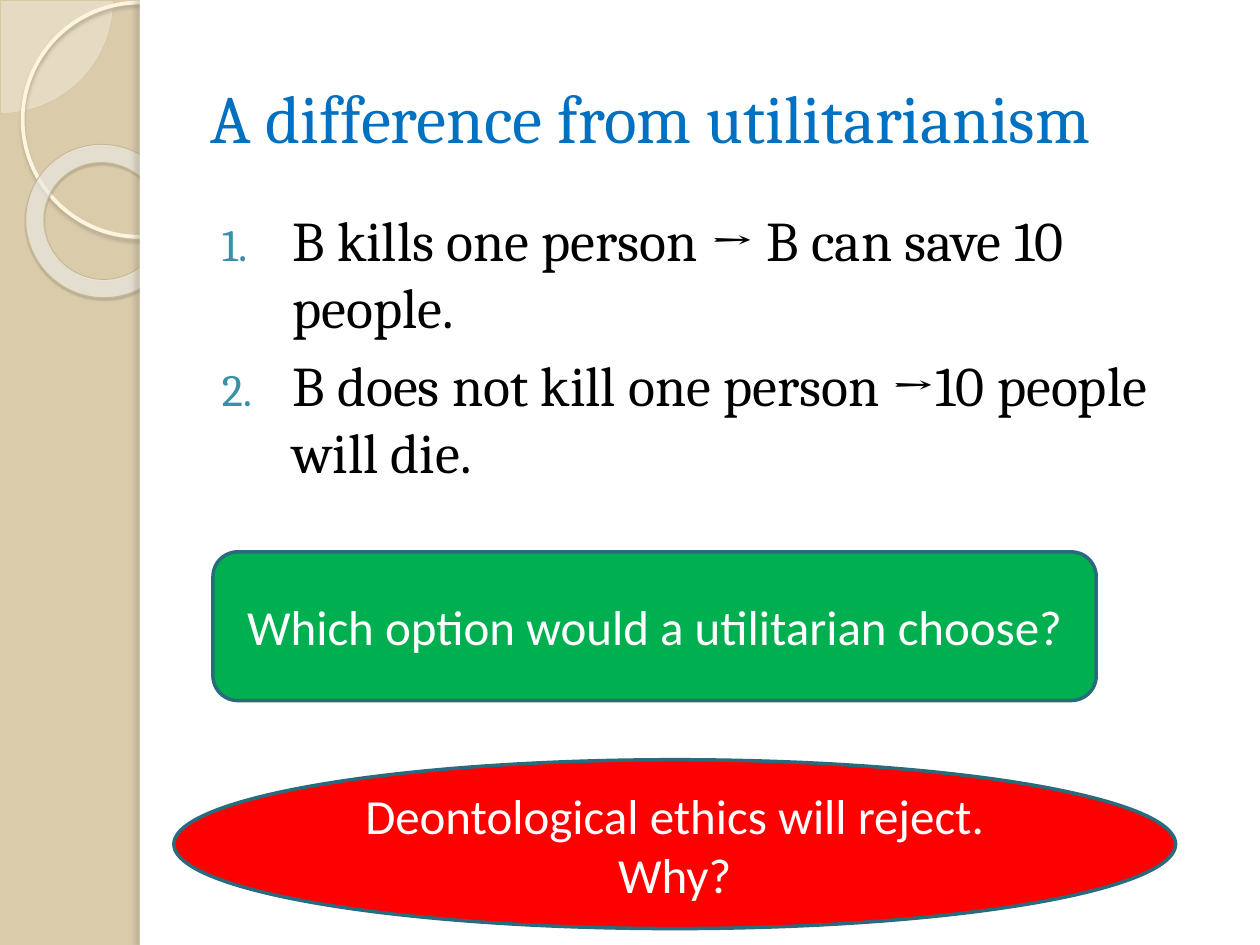
from lxml import etree
from pptx import Presentation
from pptx.dml.color import RGBColor
from pptx.enum.shapes import MSO_SHAPE
from pptx.enum.text import MSO_ANCHOR, MSO_AUTO_SIZE, PP_ALIGN
from pptx.oxml.ns import qn
from pptx.util import Inches, Pt

PIE, OVAL, DONUT = MSO_SHAPE.PIE, MSO_SHAPE.OVAL, MSO_SHAPE.DONUT
RECT, ROUND = MSO_SHAPE.RECTANGLE, MSO_SHAPE.ROUNDED_RECTANGLE
LEFT, CENTER = PP_ALIGN.LEFT, PP_ALIGN.CENTER
MIDDLE, TOP = MSO_ANCHOR.MIDDLE, MSO_ANCHOR.TOP
NO_FIT = MSO_AUTO_SIZE.NONE

SAND = RGBColor(0xDA, 0xCC, 0xAB)
CREAM = RGBColor(0xFE, 0xFA, 0xF4)
PIE_EDGE = RGBColor(0xD3, 0xC3, 0x9F)
RING_EDGE = RGBColor(0xFF, 0xF5, 0xDE)
DONUT_FILL = RGBColor(0xFF, 0xFE, 0xFB)
DONUT_EDGE = RGBColor(0xC7, 0xB8, 0x93)
RING_SHADOW = RGBColor(0xB0, 0xA6, 0x8F)
DONUT_SHADOW = RGBColor(0x5A, 0x54, 0x44)
PANEL_SHADOW = RGBColor(0x73, 0x6F, 0x63)
WHITE = RGBColor(0xFF, 0xFF, 0xFF)
BLACK = RGBColor(0, 0, 0)
BLUE = RGBColor(0x00, 0x70, 0xC0)
TEAL = RGBColor(0x38, 0x91, 0xA7)
DARK_TEAL = RGBColor(0x29, 0x6B, 0x7C)
GREEN = RGBColor(0x00, 0xB0, 0x50)
RED = RGBColor(0xFF, 0, 0)

W, H = 10, 7.5
PANEL_X = 1.11
TITLE = "A difference from utilitarianism"
OPTIONS = [
    "B kills one person → B can save 10 people.",
    "B does not kill one person →10 people will die.",
]
DECOR = [
    (PIE, (-0.89, -0.89, 1.79, 1.79), dict(
        fill=CREAM, alpha=33, line=(PIE_EDGE, 0.25), adj=(0, 54))),
    (OVAL, (0.18, 0.02, 1.86, 1.86), dict(
        line=(RING_EDGE, 2.15), shadow=(RING_SHADOW, 85, 2, 2, 90))),
    (DONUT, (0.2, 1.15, 1.23, 1.21), dict(
        fill=DONUT_FILL, alpha=58, line=(DONUT_EDGE, 0.58), adj=(0.12,),
        rotation=38.6, shadow=(DONUT_SHADOW, 35, 1, 1.2, 75))),
    (RECT, (PANEL_X, 0, W - PANEL_X, H), dict(fill=WHITE)),
    (RECT, (PANEL_X, 0, 0.08, H), dict(
        fill=WHITE, shadow=(PANEL_SHADOW, 25, 3, 3, 180))),
]
CALLOUTS = [
    (ROUND, (1.69, 4.38, 7.01, 1.18), GREEN, "Which option would a utilitarian choose?"),
    (OVAL, (1.38, 6.03, 7.95, 1.34), RED, "Deontological ethics will reject. Why?"),
]


def sub(parent, tag, **attrs):
    """Append a DrawingML child element."""
    el = etree.SubElement(parent, qn("a:" + tag))
    for name, value in attrs.items():
        el.set(name, str(value))
    return el


def add_shape(slide, kind, box, fill=None, alpha=None, line=None, adj=(), rotation=0, shadow=None):
    """Add a preset shape with its fill, outline and shadow."""
    sp = slide.shapes.add_shape(kind, *map(Inches, box))
    sp.rotation = rotation
    for i, value in enumerate(adj):
        sp.adjustments[i] = value
    if fill is None:
        sp.fill.background()
    else:
        sp.fill.solid()
        sp.fill.fore_color.rgb = fill
    if alpha:
        color = sp.element.spPr.find(qn("a:solidFill"))[0]
        sub(color, "alpha", val=alpha * 1000)
    if line:
        sp.line.color.rgb, sp.line.width = line[0], Pt(line[1])
    else:
        sp.line.fill.background()
    sp.shadow.inherit = False
    if shadow:
        color, opacity, blur, dist, angle = shadow
        effects = sp.element.spPr.find(qn("a:effectLst"))
        outer = sub(effects, "outerShdw", blurRad=Pt(blur), dist=Pt(dist),
                    dir=angle * 60000, algn="tl", rotWithShape=0)
        sub(sub(outer, "srgbClr", val=color), "alpha", val=opacity * 1000)
    return sp


def set_text(sp, lines, font, size, color, align=LEFT, anchor=MIDDLE, before=0):
    """Write one formatted paragraph per line."""
    tf = sp.text_frame
    tf.word_wrap, tf.auto_size, tf.vertical_anchor = True, NO_FIT, anchor
    for i, line in enumerate(lines):
        p = tf.add_paragraph() if i else tf.paragraphs[0]
        p.alignment, p.space_before = align, Pt(before)
        r = p.add_run()
        r.text = line
        r.font.name, r.font.size, r.font.color.rgb = font, Pt(size), color
    return tf


def number(p, font):
    """Give a paragraph a coloured automatic number."""
    pPr = p._p.get_or_add_pPr()
    pPr.set("marL", str(Inches(0.65)))
    pPr.set("indent", str(Inches(-0.56)))
    sub(sub(pPr, "buClr"), "srgbClr", val=TEAL)
    sub(pPr, "buSzPct", val=80000)
    sub(pPr, "buFont", typeface=font)
    sub(pPr, "buAutoNum", type="arabicPeriod")


def place(sp, box):
    """Move a placeholder to a box and in front of earlier shapes."""
    sp.left, sp.top, sp.width, sp.height = map(Inches, box)
    sp.element.getparent().append(sp.element)


def main():
    """Build the slide."""
    prs = Presentation()
    prs.slide_width, prs.slide_height = Inches(W), Inches(H)
    s = prs.slides.add_slide(prs.slide_layouts[1])
    s.background.fill.solid()
    s.background.fill.fore_color.rgb = SAND
    for kind, box, style in DECOR:
        add_shape(s, kind, box, **style)

    title, body = s.shapes.title, s.placeholders[1]
    place(title, (1.57, 0.3, 8.2, 1.25))
    set_text(title, [TITLE], "Cambria", 38.7, BLUE)
    place(body, (1.57, 1.58, 8.2, 5.25))
    tf = set_text(body, OPTIONS, "Cambria", 32, BLACK, anchor=TOP, before=6)
    for p in tf.paragraphs:
        number(p, "Cambria")

    for kind, box, fill, text in CALLOUTS:
        sp = add_shape(s, kind, box, fill=fill, line=(DARK_TEAL, 2))
        set_text(sp, [text], "Calibri", 28, WHITE, align=CENTER)
    prs.save("out.pptx")


if __name__ == "__main__":
    main()
